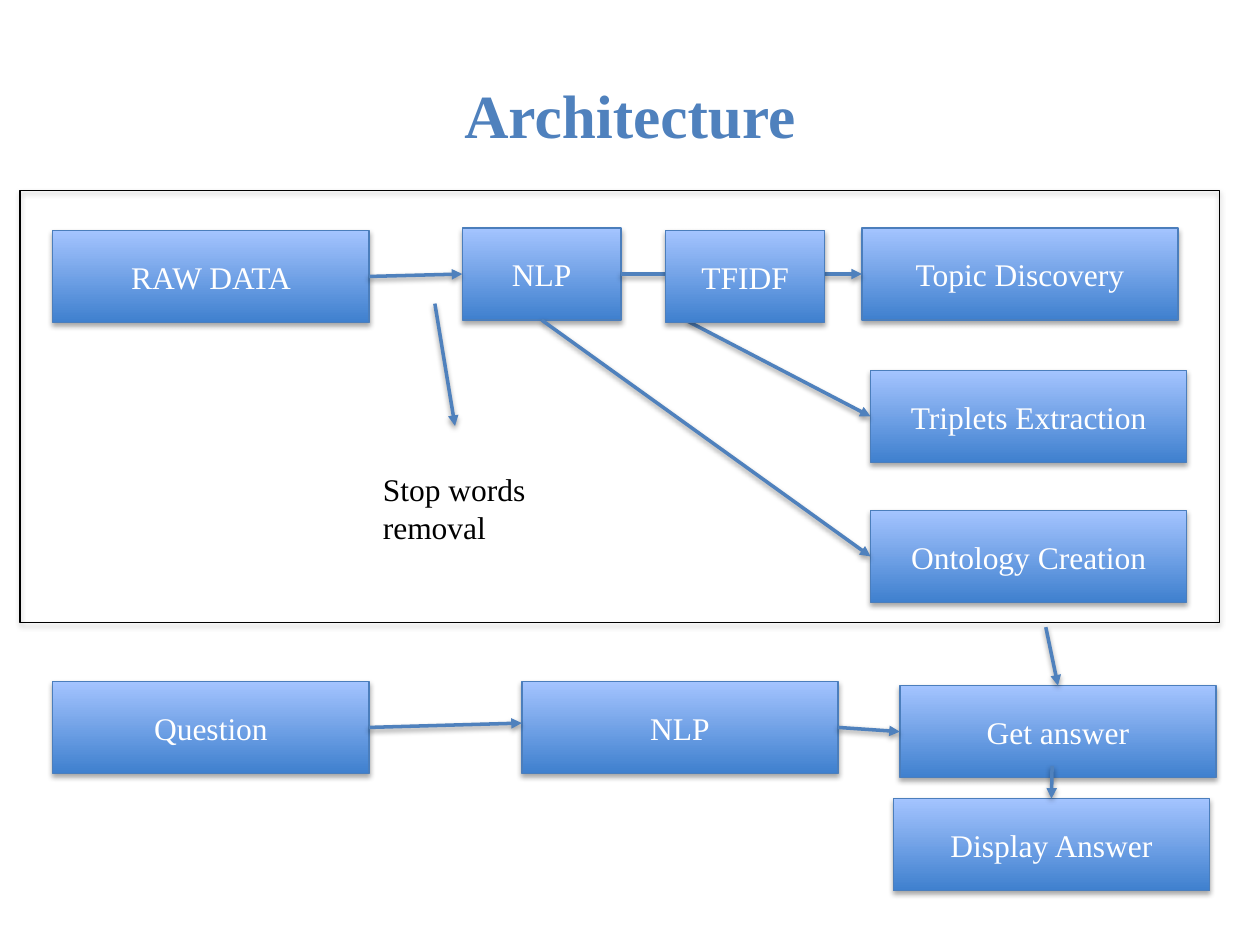
from lxml import etree
from pptx import Presentation
from pptx.dml.color import RGBColor
from pptx.enum.shapes import MSO_CONNECTOR, MSO_SHAPE
from pptx.enum.text import MSO_ANCHOR, MSO_AUTO_SIZE, PP_ALIGN
from pptx.oxml.ns import qn
from pptx.util import Pt

RECT = MSO_SHAPE.RECTANGLE
LINE = MSO_CONNECTOR.STRAIGHT
MID, UPPER = MSO_ANCHOR.MIDDLE, MSO_ANCHOR.TOP
GROW = MSO_AUTO_SIZE.SHAPE_TO_FIT_TEXT
LEFT, CENTER = PP_ALIGN.LEFT, PP_ALIGN.CENTER

FACE = "Times New Roman"
BODY = {"name": FACE, "size": Pt(18), "bold": False}
HEAD = {"name": FACE, "size": Pt(35), "bold": True}
WIDE, SLIM, TALL = 180.7, 90.7, 52.6
TOP, WEST, BASE, EAST = range(4)
PORTS = {TOP: (0.5, 0), WEST: (0, 0.5), BASE: (0.5, 1), EAST: (1, 0.5)}


def color(code):
    return RGBColor.from_string(code)


def apply(item, values):
    for key, value in values.items():
        setattr(item, key, value)


def write(shape, text, font, tint, align, anchor=MID):
    frame = shape.text_frame
    apply(frame, {"word_wrap": True, "vertical_anchor": anchor, "text": text})
    part = frame.paragraphs[0]
    part.alignment = align
    run = part.runs[0]
    apply(run.font, font)
    run.font.color.rgb = color(tint)


def shade(props, drop, alpha):
    for old in props.findall(qn("a:effectLst")):
        props.remove(old)
    group = etree.SubElement(props, qn("a:effectLst"))
    cast = etree.SubElement(group, qn("a:outerShdw"), blurRad=str(Pt(3.1)),
                            dist=str(Pt(drop)), dir="5400000", rotWithShape="0")
    tone = etree.SubElement(cast, qn("a:srgbClr"), val="000000")
    etree.SubElement(tone, qn("a:alpha"), val=str(alpha * 1000))


def block(slide, box, edge):
    shape = slide.shapes.add_shape(RECT, *map(Pt, box))
    shape.shadow.inherit = False
    shape.line.color.rgb = color(edge)
    shape.line.width = Pt(0.75)
    shade(shape.element.spPr, 1.8, 35)
    return shape


def step(slide, text, left, top, width=WIDE):
    shape = block(slide, (left, top, width, TALL), "4B7EBC")
    shape.fill.gradient()
    shape.fill.gradient_angle = 90
    for stop, code in zip(shape.fill.gradient_stops, ("3F80CE", "A4C4FF")):
        stop.color.rgb = color(code)
    write(shape, text, BODY, "FFFFFF", CENTER)
    return shape


def spot(shape, port):
    across, down = PORTS[port]
    return (round(shape.left + across * shape.width),
            round(shape.top + down * shape.height))


def draw(slide, start, end):
    link = slide.shapes.add_connector(LINE, *start, *end)
    link.line.color.rgb = color("4F81BD")
    link.line.width = Pt(2)
    etree.SubElement(link.line._get_or_add_ln(), qn("a:tailEnd"), type="triangle")
    shade(link.element.spPr, 1.6, 38)
    return link


def glue(slide, first, out, last, into):
    link = draw(slide, spot(first, out), spot(last, into))
    link.begin_connect(first, out)
    link.end_connect(last, into)


def point(left, top):
    return Pt(left), Pt(top)


def title(slide, box):
    shape = slide.shapes.title
    apply(shape, dict(zip(("left", "top", "width", "height"), map(Pt, box))))
    write(shape, "Architecture", HEAD, "4F81BD", CENTER)


def note(slide, text, box):
    shape = slide.shapes.add_textbox(*map(Pt, box))
    write(shape, text, BODY, "000000", LEFT, UPPER)
    shape.text_frame.auto_size = GROW


def learn(slide, box):
    x, y, width, height = box
    frame = block(slide, box, "000000")
    frame.fill.background()
    raw = step(slide, "RAW DATA", x + 18.7, y + 23)
    nlp = step(slide, "NLP", x + 252.7, y + 21.6, SLIM)
    topic = step(slide, "Topic Discovery", x + 481, y + 21.6)
    triple = step(slide, "Triplets Extraction", x + 486, y + 103)
    onto = step(slide, "Ontology Creation", x + 486, y + 183)
    glue(slide, raw, EAST, nlp, WEST)
    glue(slide, nlp, EAST, topic, WEST)
    glue(slide, nlp, BASE, onto, WEST)
    draw(slide, point(x + 381.6, y + 74.9), spot(triple, WEST))
    draw(slide, point(x + 237, y + 64.8), point(x + 248.5, y + 134.7))
    note(slide, "Stop words removal", (x + 200.2, y + 156.3, 109.4, 51))
    step(slide, "TFIDF", x + 369, y + 23, SLIM)


def answer(slide, box):
    x, y, width, height = box
    ask = step(slide, "Question", x, y)
    nlp = step(slide, "NLP", x + 268, y)
    get = step(slide, "Get answer", x + 484, y + 2.4)
    show = step(slide, "Display Answer", x + width - WIDE, y + height - TALL)
    draw(slide, spot(ask, EAST), point(x + 268, y + 23.8))
    glue(slide, nlp, EAST, get, WEST)
    draw(slide, point(x + 567.4, y - 31), spot(get, TOP))
    draw(slide, point(x + 571, y + 48.3), spot(show, TOP))


def main():
    deck = Presentation()
    deck.slide_width, deck.slide_height = Pt(720), Pt(540)
    slide = deck.slides.add_slide(deck.slide_layouts[5])
    title(slide, (36, 20, 648, 90))
    learn(slide, (11.5, 108.7, 685.4, 247))
    answer(slide, (30.2, 389.4, 661, 119.6))
    deck.save("out.pptx")


if __name__ == "__main__":
    main()
